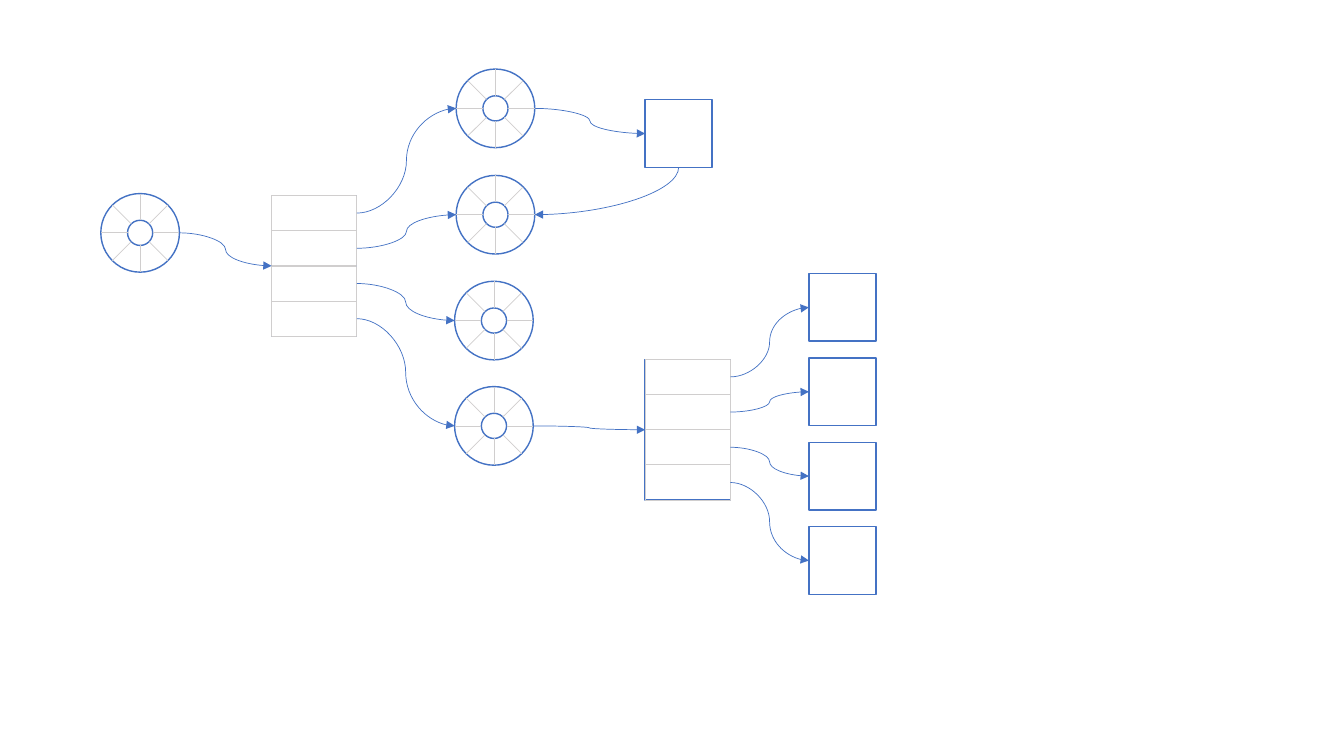
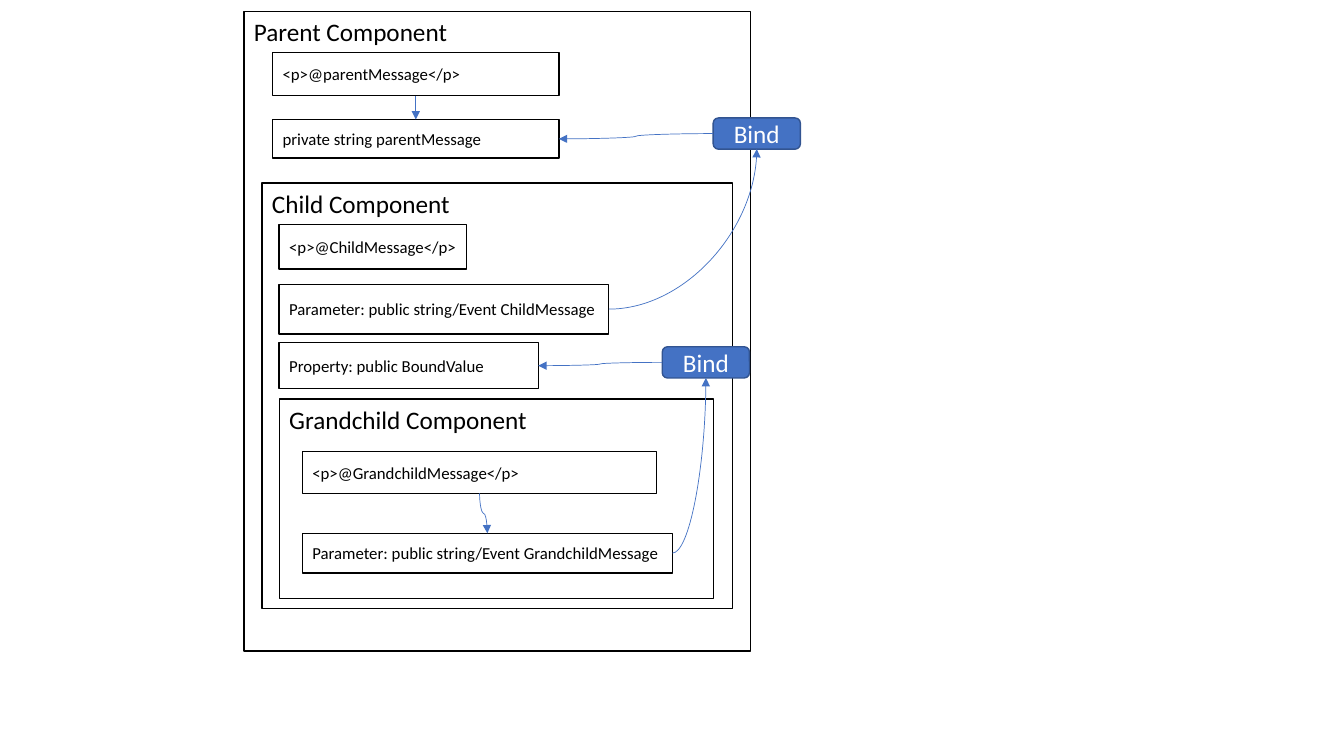
from math import cos, radians, sin

from pptx import Presentation
from pptx.dml.color import RGBColor
from pptx.enum.shapes import MSO_CONNECTOR, MSO_SHAPE, MSO_SHAPE_TYPE
from pptx.enum.text import MSO_ANCHOR, PP_ALIGN
from pptx.oxml.ns import qn
from pptx.oxml.xmlchemy import OxmlElement
from pptx.util import Inches, Pt

# Grid: square cells, 0.1 inch a side
CELL = Inches(0.1)
COLS, ROWS = 133.33, 75

# Shared look
BLUE, BLUE_EDGE, GREY = "4472C4", "325491", "D0CECE"
WHITE, BLACK = "FFFFFF", "000000"
FONT = "Calibri"
THICK, THIN = 1, 0.5
HEADING = {"size": Pt(18), "name": FONT}
LABEL = {"size": Pt(12), "name": FONT}

# Connection sites, as shares of a shape's width and height
TOP, LEFT, BOTTOM, RIGHT = range(4)
SITES = [(0.5, 0), (0, 0.5), (0.5, 1), (1, 0.5)]

# Sizes in cells
RIM, HUB = 3.9, 1.25
STACK_W, STACK_ROW = 8.45, 3.49
BOX_W, BOX_H = 6.65, 6.7
BIND_W, BIND_H = 8.65, 3.1


def grid(n):
    return int(n * CELL)


def color(hex_string):
    return RGBColor.from_string(hex_string)


def set_line(s, hex_string, width):
    s.line.color.rgb = color(hex_string)
    s.line.width = Pt(width)


def add_box(shapes, x, y, w, h, fill=WHITE, line=BLUE, width=THICK,
            kind=MSO_SHAPE.RECTANGLE):
    sp = shapes.add_shape(kind, grid(x), grid(y), grid(w), grid(h))
    sp.shadow.inherit = False
    if fill:
        sp.fill.solid()
        sp.fill.fore_color.rgb = color(fill)
    else:
        sp.fill.background()
    set_line(sp, line, width)
    return sp


def set_text(sp, text, fmt, ink=BLACK, align=PP_ALIGN.LEFT,
             anchor=MSO_ANCHOR.MIDDLE):
    tf = sp.text_frame
    for name, value in {"word_wrap": True, "vertical_anchor": anchor,
                        "margin_right": 0 if align == PP_ALIGN.LEFT
                        else tf.margin_left}.items():
        setattr(tf, name, value)
    p = tf.paragraphs[0]
    p.alignment = align
    r = p.add_run()
    r.text = text
    for name, value in fmt.items():
        setattr(r.font, name, value)
    r.font.color.rgb = color(ink)


def add_line(shapes, kind, ends, hex_string):
    c = shapes.add_connector(kind, *ends)
    set_line(c, hex_string, THIN)
    c._element.spPr.append(OxmlElement("a:effectLst"))
    return c


def site_point(s, site):
    fx, fy = SITES[site]
    return s.left + s.width * fx, s.top + s.height * fy


def add_curve(shapes, start, start_site, end, end_site):
    """Curved arrow between two connection sites; upright starts run down."""
    x1, y1 = site_point(start, start_site)
    x2, y2 = site_point(end, end_site)
    upright = start_site in (TOP, BOTTOM)
    ends = (x1, y1, x2, y2)
    if upright:  # the same curve lying flat, to be turned by 90 degrees
        mx, my = (x1 + x2) / 2, (y1 + y2) / 2
        dx, dy = (x2 - x1) / 2, (y2 - y1) / 2
        ends = (mx - dy, my + dx, mx + dy, my - dx)
    ends = [int(n) for n in ends]
    c = add_line(shapes, MSO_CONNECTOR.CURVE, ends, BLUE)
    if MSO_SHAPE_TYPE.GROUP not in (start.shape_type, end.shape_type):
        c.begin_connect(start, start_site)
        c.end_connect(end, end_site)
        for name, value in zip(("begin_x", "begin_y", "end_x", "end_y"), ends):
            setattr(c, name, value)
    sp_pr = c._element.spPr
    if upright:
        sp_pr.find(qn("a:xfrm")).set("rot", "5400000")
    if upright != (end_site in (TOP, BOTTOM)):
        sp_pr.find(qn("a:prstGeom")).set("prst", "curvedConnector2")
    tail = OxmlElement("a:tailEnd")
    tail.set("type", "triangle")
    sp_pr.find(qn("a:ln")).append(tail)


# Kinds of element
def add_wheel(shapes, cx, cy):
    group = shapes.add_group_shape()
    for radius in (RIM, HUB):
        add_box(group.shapes, cx - radius, cy - radius, 2 * radius, 2 * radius,
                kind=MSO_SHAPE.OVAL)
    for angle in range(0, 360, 45):
        ux, uy = cos(radians(angle)), sin(radians(angle))
        ends = [grid(n) for radius in (HUB, RIM)
                for n in (cx + radius * ux, cy + radius * uy)]
        add_line(group.shapes, MSO_CONNECTOR.STRAIGHT, ends, GREY)
    return group


def add_stack(shapes, x, y, count=4):
    group = shapes.add_group_shape()
    frame = add_box(group.shapes, x, y, STACK_W, count * STACK_ROW)
    rows = [add_box(group.shapes, x, y + i * STACK_ROW, STACK_W, STACK_ROW,
                    fill=None, line=GREY, width=THIN) for i in range(count)]
    return frame, rows


def add_component(shapes, text, *at):
    sp = add_box(shapes, *at, line=BLACK)
    set_text(sp, text, HEADING, anchor=MSO_ANCHOR.TOP)


def add_member(shapes, text, *at):
    sp = add_box(shapes, *at, line=BLACK)
    set_text(sp, text, LABEL)
    return sp


def add_bind(shapes, x, y):
    sp = add_box(shapes, x, y, BIND_W, BIND_H, fill=BLUE, line=BLUE_EDGE,
                 kind=MSO_SHAPE.ROUNDED_RECTANGLE)
    set_text(sp, "Bind", HEADING, ink=WHITE, align=PP_ALIGN.CENTER)
    return sp


# Slides
def build_tree(shapes):
    root = add_wheel(shapes, 13.9, 23.1)
    stack, rows = add_stack(shapes, 26.95, 19.4)
    wheels = [add_wheel(shapes, cx, cy) for cx, cy in
              ((49.15, 10.75), (49.15, 21.3), (49, 31.8), (49, 42.25))]
    linked_box = add_box(shapes, 64, 9.9, BOX_W, BOX_H)
    leaf_stack, leaf_rows = add_stack(shapes, 64, 35.65)
    leaves = [add_box(shapes, 80.25, 27.15 + i * 8.37, BOX_W, BOX_H)
              for i in range(len(leaf_rows))]

    # Arrows
    links = [(root, stack), (wheels[0], linked_box), (wheels[3], leaf_stack),
             *zip(rows, wheels), *zip(leaf_rows, leaves)]
    for start, end in links:
        add_curve(shapes, start, RIGHT, end, LEFT)
    add_curve(shapes, linked_box, BOTTOM, wheels[1], RIGHT)


def build_components(shapes):
    # Parent
    add_component(shapes, "Parent Component", 24.2, 1.15, 50.25, 63.45)
    parent_markup = add_member(shapes, "<p>@parentMessage</p>",
                               27.05, 5.2, 28.4, 4.3)
    parent_field = add_member(shapes, "private string parentMessage",
                              27.05, 11.85, 28.4, 3.85)
    # Child
    add_component(shapes, "Child Component", 26, 18.15, 46.7, 42.2)
    add_member(shapes, "<p>@ChildMessage</p>", 27.7, 22.3, 18.6, 4.4)
    child_param = add_member(
        shapes, "Parameter: public string/Event ChildMessage",
        27.7, 28.2, 32.7, 4.95)
    child_property = add_member(shapes, "Property: public BoundValue",
                                27.7, 34, 25.7, 4.55)
    # Grandchild
    add_component(shapes, "Grandchild Component", 27.7, 39.6, 43.1, 19.8)
    grandchild_markup = add_member(shapes, "<p>@GrandchildMessage</p>",
                                   30, 44.8, 35.15, 4.15)
    grandchild_param = add_member(
        shapes, "Parameter: public string/Event GrandchildMessage",
        30, 52.9, 36.7, 3.95)
    # Bindings
    parent_bind = add_bind(shapes, 70.75, 11.7)
    child_bind = add_bind(shapes, 65.7, 34.4)

    # Arrows
    for link in (
        (parent_markup, BOTTOM, parent_field, TOP),
        (parent_bind, LEFT, parent_field, RIGHT),
        (child_param, RIGHT, parent_bind, BOTTOM),
        (child_bind, LEFT, child_property, RIGHT),
        (grandchild_param, RIGHT, child_bind, BOTTOM),
        (grandchild_markup, BOTTOM, grandchild_param, TOP),
    ):
        add_curve(shapes, *link)


def main():
    prs = Presentation()
    prs.slide_width, prs.slide_height = grid(COLS), grid(ROWS)
    blank = prs.slide_layouts[6]
    for build in (build_tree, build_components):
        build(prs.slides.add_slide(blank).shapes)
    prs.save("out.pptx")


if __name__ == "__main__":
    main()
